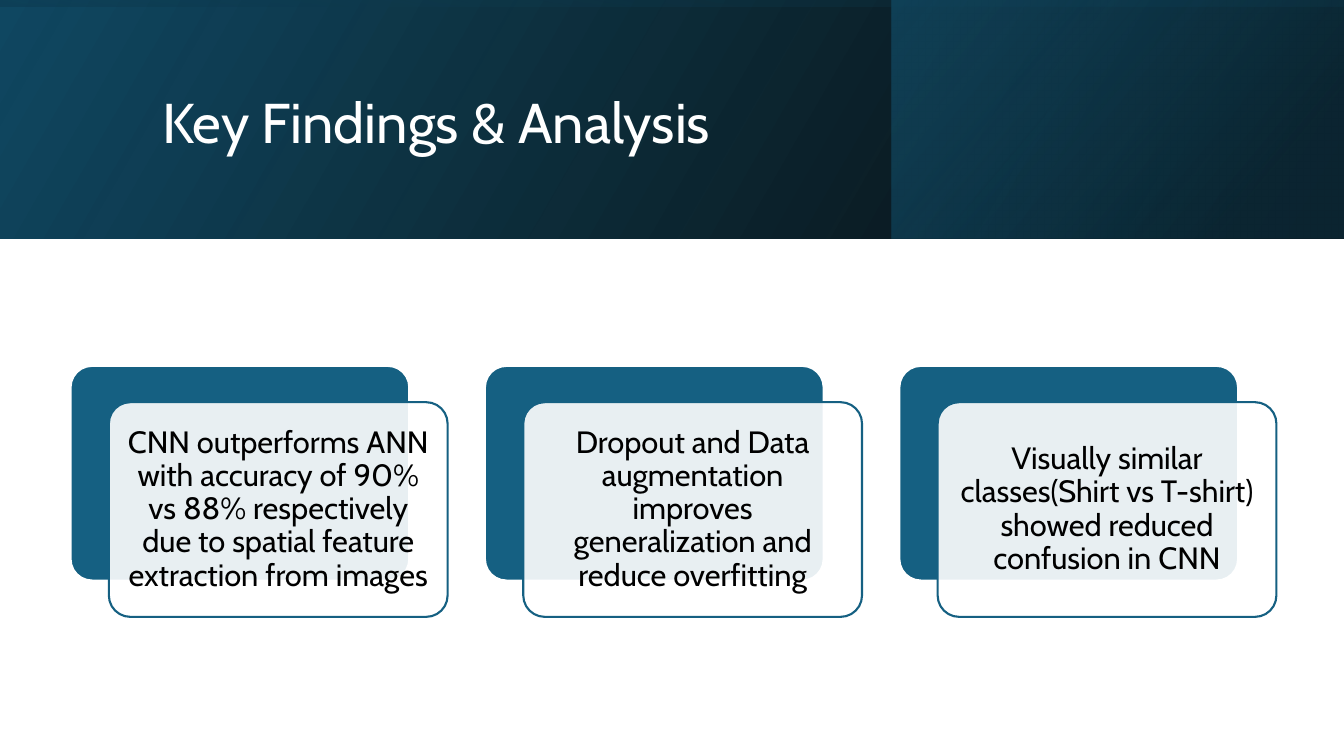
from lxml import etree
from pptx import Presentation
from pptx.dml.color import RGBColor
from pptx.enum.shapes import MSO_SHAPE
from pptx.enum.text import MSO_ANCHOR, PP_ALIGN
from pptx.oxml import parse_xml
from pptx.oxml.ns import nsdecls, qn
from pptx.util import Inches, Pt

RECT, ROUND = MSO_SHAPE.RECTANGLE, MSO_SHAPE.ROUNDED_RECTANGLE
MIDDLE = MSO_ANCHOR.MIDDLE
LEFT, CENTER = PP_ALIGN.LEFT, PP_ALIGN.CENTER

WHITE = RGBColor(0xFF, 0xFF, 0xFF)
BLACK = RGBColor(0x00, 0x00, 0x00)
TEAL = RGBColor(0x15, 0x60, 0x82)
NAVY = RGBColor(0x10, 0x48, 0x62)
DEEP = RGBColor(0x0B, 0x30, 0x41)

WIDE, HIGH = 13.33, 7.5
BAND = 2.37
CARD_X, CARD_Y, PITCH = 0.7, 3.63, 4.11
CARD_W, CARD_H = 3.36, 2.13
SHIFT_X, SHIFT_Y, INSET = 0.38, 0.36, 0.06

# left, top, width, height, rotation, gradient angle, stops (place, colour, opacity)
BANDS = [
    (0, 0, WIDE, BAND, 0, 330, [(0, BLACK, 96), (100, NAVY, 100)]),
    (8.84, 0, WIDE - 8.84, BAND, 0, 320, [(19, DEEP, 68), (100, TEAL, 48)]),
    ((WIDE - BAND) / 2, (BAND - WIDE) / 2, BAND, WIDE, 270, 350,
     [(23, NAVY, 16), (99, BLACK, 45)]),
]

FINDINGS = [
    "CNN outperforms ANN with accuracy of 90% vs 88% respectively "
    "due to spatial feature extraction from images",
    "Dropout and Data augmentation improves generalization "
    "and reduce overfitting",
    "Visually similar classes(Shirt vs T-shirt) showed reduced "
    "confusion in CNN",
]


def box(*sides):
    return [Inches(side) for side in sides]


def add_band(slide, left, top, width, height, turn, angle, stops):
    """Add a mirrored rectangle with a see-through linear gradient."""
    band = slide.shapes.add_shape(RECT, *box(left, top, width, height))
    band.shadow.inherit = False
    band.line.fill.background()
    band.rotation = turn
    props = band._element.spPr
    props.find(qn("a:xfrm")).set("flipH", "1")
    marks = "".join(
        f'<a:gs pos="{place * 1000}"><a:srgbClr val="{color}">'
        f'<a:alpha val="{alpha * 1000}"/></a:srgbClr></a:gs>'
        for place, color, alpha in stops)
    fill = parse_xml(
        f'<a:gradFill {nsdecls("a")} rotWithShape="1"><a:gsLst>{marks}</a:gsLst>'
        f'<a:lin ang="{angle * 60000}" scaled="0"/></a:gradFill>')
    props.find(qn("a:prstGeom")).addnext(fill)


def add_panel(slide, left, top, fill, line, alpha=100):
    panel = slide.shapes.add_shape(ROUND, *box(left, top, CARD_W, CARD_H))
    panel.shadow.inherit = False
    panel.adjustments[0] = 0.1
    panel.fill.solid()
    panel.fill.fore_color.rgb = fill
    panel.line.color.rgb = line
    panel.line.width = Pt(1.5)
    if alpha < 100:
        color = panel._element.spPr.find(qn("a:solidFill"))[0]
        etree.SubElement(color, qn("a:alpha")).set("val", str(alpha * 1000))


def set_text(shape, text, size, color, align, inset):
    frame = shape.text_frame
    frame.text = text
    frame.word_wrap = True
    frame.vertical_anchor = MIDDLE
    for side in ("left", "top", "right", "bottom"):
        setattr(frame, f"margin_{side}", Inches(inset))
    para = frame.paragraphs[0]
    para.alignment = align
    para.line_spacing = 0.9
    font = para.runs[0].font
    for name, value in {"name": "Cabin", "size": Pt(size)}.items():
        setattr(font, name, value)
    font.color.rgb = color


def add_title(slide, text):
    title = slide.shapes.title
    title.left, title.top, title.width, title.height = box(1.51, 0.38, 10.63, 1.72)
    set_text(title, text, 40, WHITE, LEFT, 0.1)
    tree = slide.shapes._spTree
    tree.append(title._element)


def add_card(slide, left, text):
    """Add a solid panel, a clear panel shifted over it, and its text."""
    add_panel(slide, left, CARD_Y, TEAL, WHITE)
    front, top = left + SHIFT_X, CARD_Y + SHIFT_Y
    add_panel(slide, front, top, WHITE, TEAL, 90)
    label = slide.shapes.add_textbox(*box(
        front + INSET, top + INSET, CARD_W - 2 * INSET, CARD_H - 2 * INSET))
    set_text(label, text, 22, BLACK, CENTER, 0.09)


def main():
    deck = Presentation()
    deck.slide_width, deck.slide_height = box(WIDE, HIGH)
    slide = deck.slides.add_slide(deck.slide_layouts.get_by_name("Title Only"))
    for band in BANDS:
        add_band(slide, *band)
    add_title(slide, "Key Findings & Analysis")
    for col, text in enumerate(FINDINGS):
        add_card(slide, CARD_X + col * PITCH, text)
    deck.save("out.pptx")


if __name__ == "__main__":
    main()
